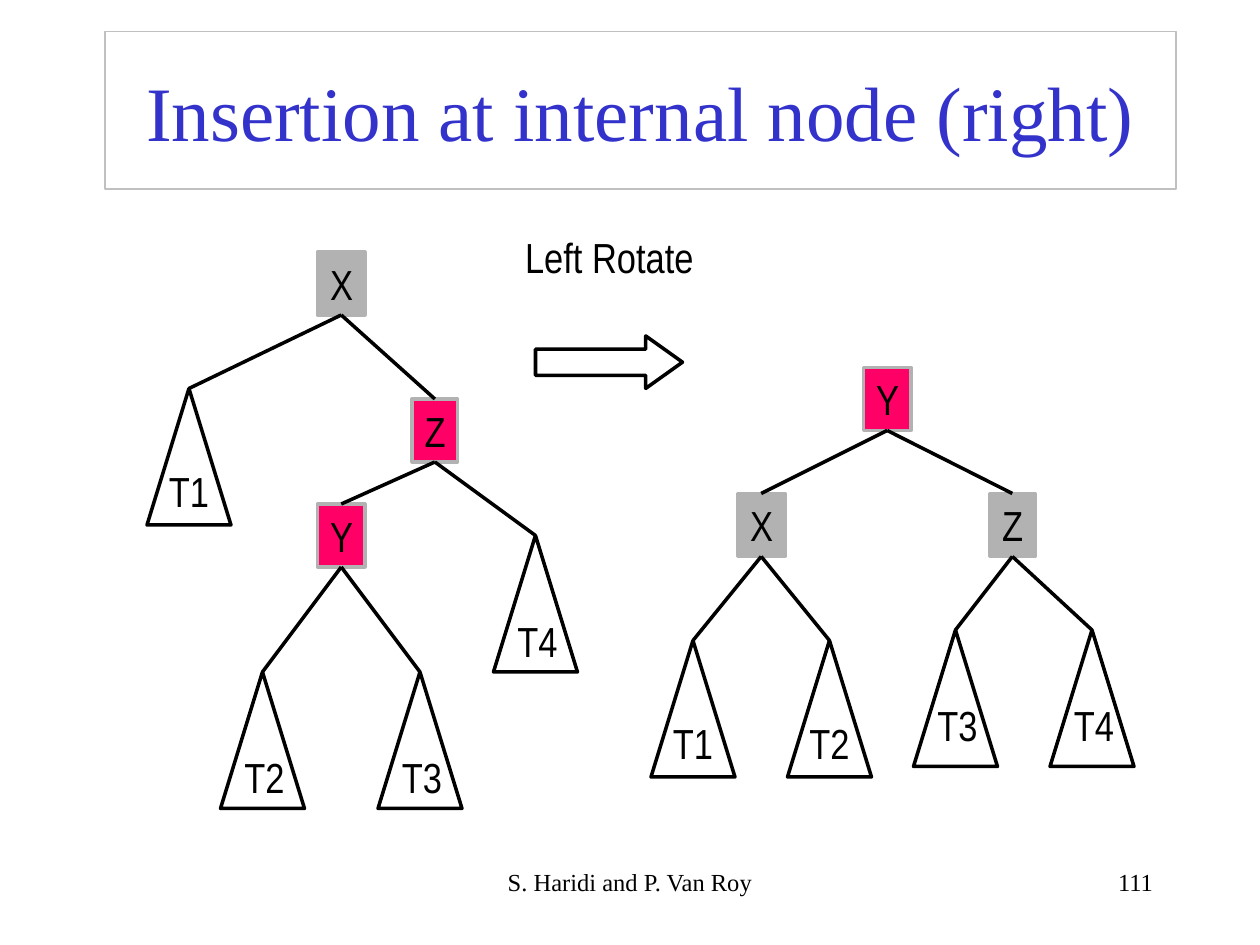
"""Build a slide showing the left rotation of a binary tree after an internal insertion."""
from dataclasses import dataclass
from typing import Optional, Union

from lxml import etree
from pptx import Presentation, util as u
from pptx.dml.color import RGBColor
from pptx.enum import shapes, text
from pptx.oxml.ns import qn


@dataclass(frozen=True)
class Theme:
    title: str = "3333CC"
    frame: str = "C0C0C0"
    ink: str = "000000"
    paper: str = "FFFFFF"
    grey: str = "B2B2B2"
    pink: str = "FF0066"
    serif: str = "Times New Roman"
    sans: str = "Arial Narrow"
    title_size: int = 44
    label_size: int = 24
    footer_size: int = 14
    stroke: float = 2
    frame_stroke: float = 0.75


@dataclass(frozen=True)
class Subtree:
    label: str
    left: float
    top: float
    label_drop: Optional[float] = None


@dataclass(frozen=True)
class Node:
    label: str
    left: float
    top: float
    children: tuple[Union["Node", Subtree], ...]
    width: float = 27
    fill: str = Theme.grey


T = Theme()
SHAPE = shapes.MSO_SHAPE
ALIGN = text.PP_ALIGN
ANCHOR = text.MSO_ANCHOR
NODE_HEIGHT = 36
TRIANGLE = (48, 78)
LABEL = (37.5, 36)
LABEL_INDENT = 6.5

BEFORE = Node("X", 181.5, 144, (
    Subtree("T1", 84, 222),
    Node("Z", 235.5, 228, (
        Node("Y", 181.5, 288, (
            Subtree("T2", 126, 384, 42),
            Subtree("T3", 216, 384, 42)), fill=T.pink),
        Subtree("T4", 282, 306, 42)), width=26, fill=T.pink)))
AFTER = Node("Y", 493.5, 210, (
    Node("X", 421.5, 282, (
        Subtree("T1", 372, 366),
        Subtree("T2", 450, 366))),
    Node("Z", 565.5, 282, (
        Subtree("T3", 522, 360, 36),
        Subtree("T4", 600, 360, 36)), width=26)), fill=T.pink)


def write(sp, words: str, size: float = T.label_size, font: str = T.sans,
          color: str = T.ink, align=ALIGN.LEFT, anchor=ANCHOR.TOP,
          wrap: bool = False, grow: bool = False) -> None:
    tf = sp.text_frame
    tf.word_wrap = wrap
    tf.vertical_anchor = anchor
    tf.auto_size = (text.MSO_AUTO_SIZE.SHAPE_TO_FIT_TEXT if grow
                    else text.MSO_AUTO_SIZE.NONE)
    p = tf.paragraphs[0]
    p.alignment = align
    r = p.add_run()
    r.text = words
    r.font.size = u.Pt(size)
    r.font.name = font
    r.font.color.rgb = RGBColor.from_string(color)


def add_shape(s, kind, left: float, top: float, width: float, height: float,
              fill: Optional[str] = None, line: str = T.ink,
              stroke: float = T.stroke):
    sp = s.shapes.add_shape(kind, u.Pt(left), u.Pt(top), u.Pt(width), u.Pt(height))
    sp.shadow.inherit = False
    if fill:
        sp.fill.solid()
        sp.fill.fore_color.rgb = RGBColor.from_string(fill)
    else:
        sp.fill.background()
    sp.line.color.rgb = RGBColor.from_string(line)
    sp.line.width = u.Pt(stroke)
    return sp


def add_text(s, words: str, left: float, top: float, width: float,
             height: float, **style) -> None:
    sp = s.shapes.add_textbox(u.Pt(left), u.Pt(top), u.Pt(width), u.Pt(height))
    write(sp, words, **style)


def add_edge(s, parent, child) -> None:
    cx = s.shapes.add_connector(shapes.MSO_CONNECTOR.STRAIGHT, 0, 0, 0, 0)
    cx.begin_connect(parent, 2)
    cx.end_connect(child, 0)
    cx.line.color.rgb = RGBColor.from_string(T.ink)
    cx.line.width = u.Pt(T.stroke)
    etree.SubElement(cx._element.spPr, qn("a:effectLst"))


def draw_subtree(s, tree: Subtree):
    inside = tree.label_drop is None
    sp = add_shape(s, SHAPE.ISOSCELES_TRIANGLE, tree.left, tree.top, *TRIANGLE,
                   fill=T.paper if inside else None)
    if inside:
        write(sp, tree.label, align=ALIGN.CENTER, anchor=ANCHOR.MIDDLE)
    else:
        add_text(s, tree.label, tree.left + LABEL_INDENT,
                 tree.top + tree.label_drop, *LABEL, grow=True)
    return sp


def draw_tree(s, tree: Union[Node, Subtree]):
    if isinstance(tree, Subtree):
        return draw_subtree(s, tree)
    sp = add_shape(s, SHAPE.RECTANGLE, tree.left, tree.top, tree.width,
                   NODE_HEIGHT, fill=tree.fill, line=T.grey)
    write(sp, tree.label, grow=True)
    for child in tree.children:
        add_edge(s, sp, draw_tree(s, child))
    return sp


def main() -> None:
    prs = Presentation()
    prs.slide_width, prs.slide_height = u.Pt(720), u.Pt(540)
    s = prs.slides.add_slide(prs.slide_layouts[6])

    title = add_shape(s, SHAPE.RECTANGLE, 60, 18, 612, 90,
                      line=T.frame, stroke=T.frame_stroke)
    write(title, "Insertion at internal node (right)", T.title_size, T.serif,
          T.title, ALIGN.CENTER, ANCHOR.MIDDLE, wrap=True)

    for tree in (BEFORE, AFTER):
        draw_tree(s, tree)

    arrow = add_shape(s, SHAPE.RIGHT_ARROW, 306, 192, 84, 30)
    arrow.adjustments[1] = 0.7
    add_text(s, "Left Rotate", 293, 129, 111, 36, grow=True)

    footer = dict(size=T.footer_size, font=T.serif, wrap=True)
    add_text(s, "S. Haridi and P. Van Roy", 246, 492, 228, 36,
             align=ALIGN.CENTER, **footer)
    add_text(s, "111", 516, 492, 150, 36, align=ALIGN.RIGHT, **footer)

    prs.save("out.pptx")


if __name__ == "__main__":
    main()
